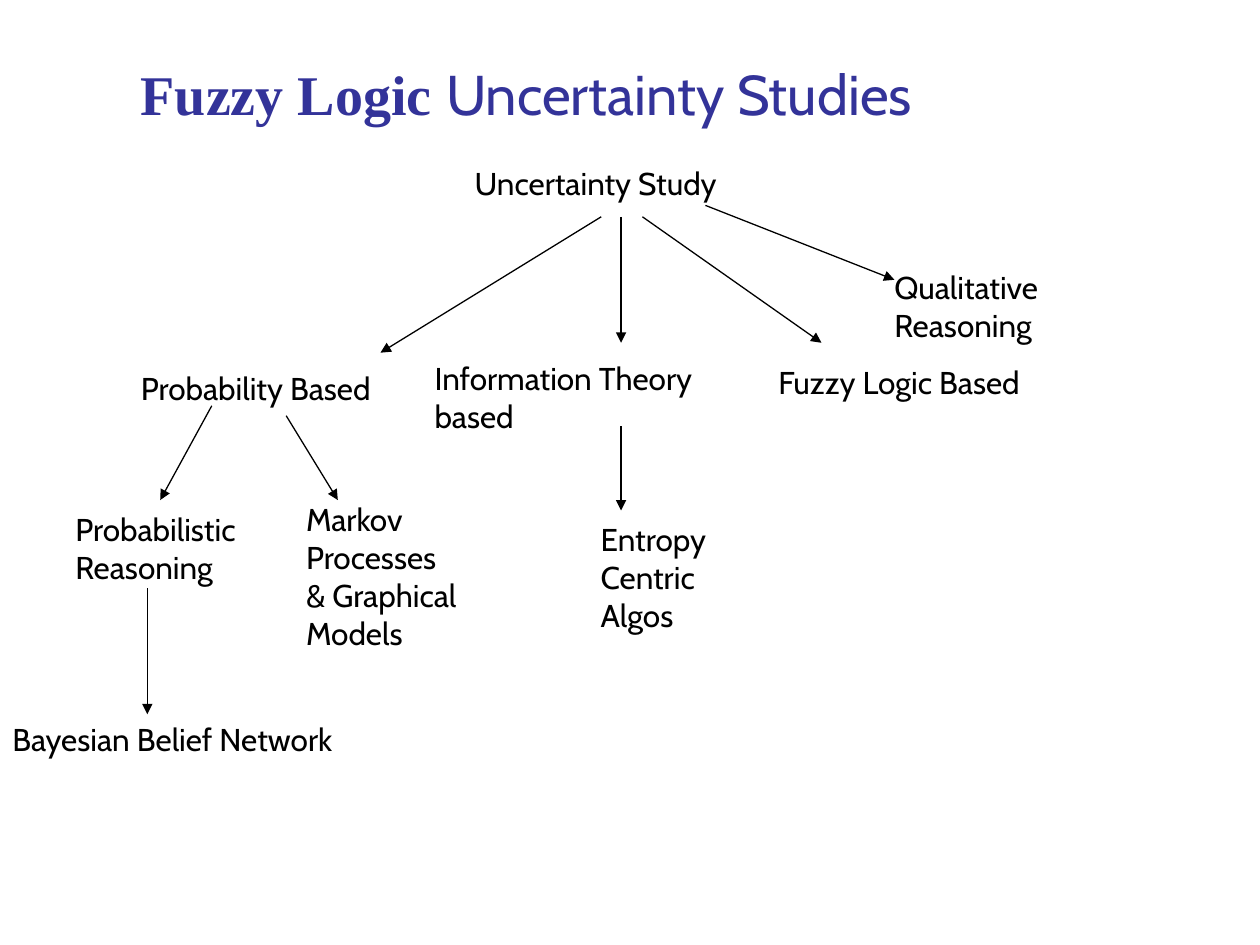
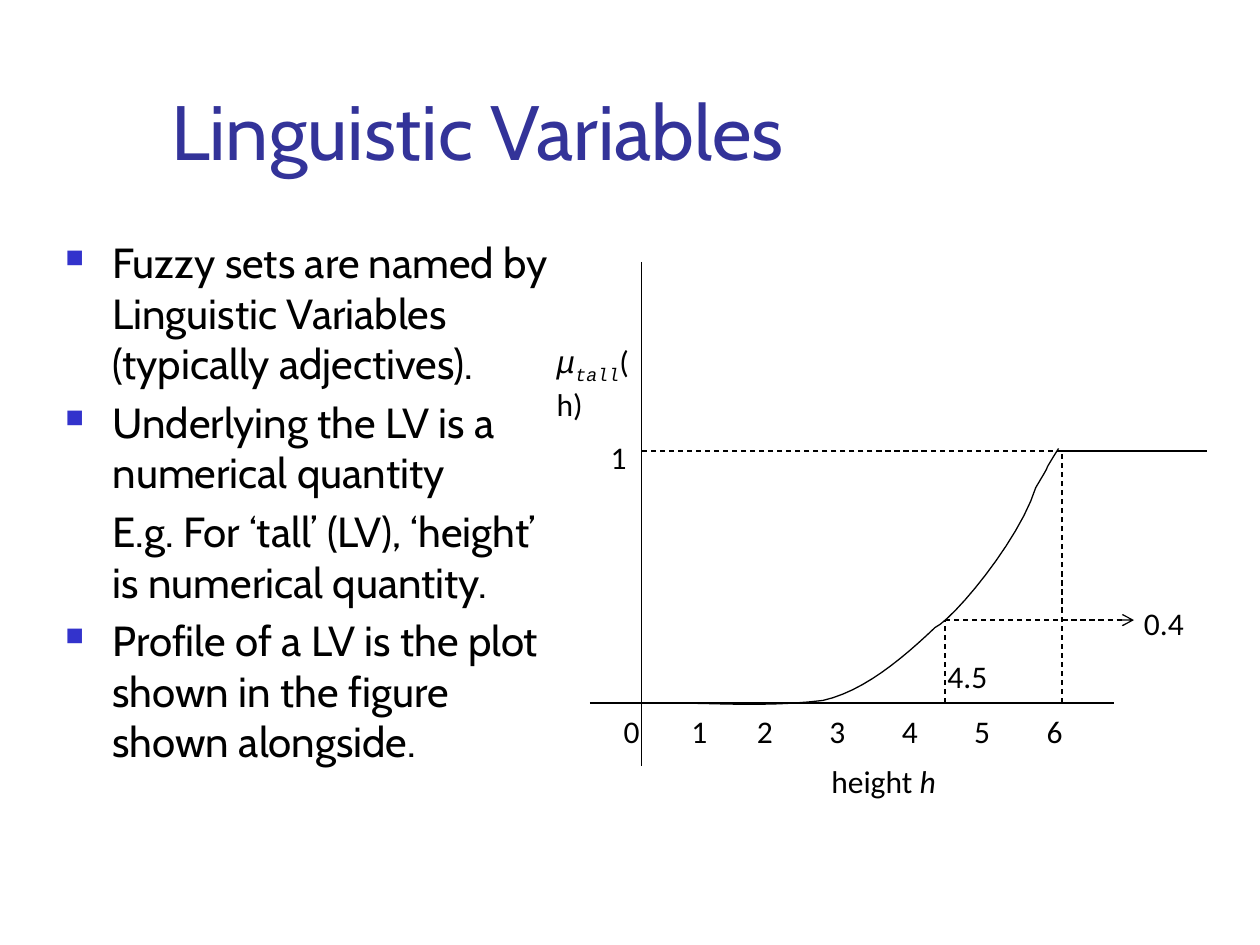
from dataclasses import dataclass

from lxml import etree
from pptx import Presentation
from pptx import util as u
from pptx.dml.color import RGBColor
from pptx.enum import dml, shapes, text
from pptx.oxml import ns


@dataclass(frozen=True)
class Theme:
    title_color: RGBColor = RGBColor(0x33, 0x33, 0x99)
    ink: RGBColor = RGBColor(0, 0, 0)
    bullet_color: str = "3333CC"
    main_font: str = "Cabin"
    serif_font: str = "Times New Roman"
    plot_font: str = "Calibri"
    symbol_font: str = "Courier New"
    tree_title_size: int = 32
    title_size: int = 44
    body_size: int = 24
    label_size: int = 18
    line_width: float = 0.75


THEME = Theme()
LINE_HEIGHT = 0.76
BOX_PADDING = 0.26


def add_element(parent, tag, **attributes):
    return etree.SubElement(parent, ns.qn(tag), attributes)


def add_run(paragraph, words, font, size, color=THEME.ink, bold=False, italic=False):
    run = paragraph.add_run()
    run.text = words
    run.font.name = font
    run.font.size = u.Pt(size)
    run.font.color.rgb = color
    run.font.bold = bold
    run.font.italic = italic
    return run


def add_text_frame(slide, left, top, width, height):
    box = slide.shapes.add_textbox(u.Cm(left), u.Cm(top), u.Cm(width), u.Cm(height))
    box.text_frame.word_wrap = True
    return box.text_frame


def add_label(slide, words, left, top, width, font):
    lines = words.split("\n")
    frame = add_text_frame(slide, left, top, width, LINE_HEIGHT * len(lines) + BOX_PADDING)
    for index, line in enumerate(lines):
        paragraph = frame.add_paragraph() if index else frame.paragraphs[0]
        add_run(paragraph, line, font, THEME.label_size)
    return frame


def add_title(slide, box, parts, size):
    frame = add_text_frame(slide, *box)
    frame.vertical_anchor = text.MSO_ANCHOR.MIDDLE
    for words, font, bold in parts:
        add_run(frame.paragraphs[0], words, font, size, THEME.title_color, bold)


def style_line(line):
    line.color.rgb = THEME.ink
    line.width = u.Pt(THEME.line_width)


def add_line(slide, origin, start, end, dashed=False, head=None):
    left, top = origin
    connector = slide.shapes.add_connector(
        shapes.MSO_CONNECTOR.STRAIGHT,
        u.Cm(left + start[0]), u.Cm(top + start[1]),
        u.Cm(left + end[0]), u.Cm(top + end[1]),
    )
    style_line(connector.line)
    if dashed:
        connector.line.dash_style = dml.MSO_LINE.DASH
    if head:
        add_element(connector.line._get_or_add_ln(), "a:tailEnd", type=head)
    add_element(connector._element.spPr, "a:effectLst")


def add_study_tree(slide, left, top):
    nodes = [
        ("Uncertainty Study", 9.32, 0, 5.49),
        ("Probability Based", 2.59, 4.14, 5.31),
        ("Information Theory\nbased", 8.51, 3.93, 6.15),
        ("Fuzzy Logic Based", 15.44, 4.01, 5.61),
        ("Qualitative\nReasoning", 17.78, 2.1, 3.68),
        ("Probabilistic\nReasoning", 1.27, 6.98, 4.04),
        ("Markov\nProcesses\n& Graphical\nModels", 5.92, 6.78, 3.76),
        ("Entropy\nCentric\nAlgos", 11.86, 7.18, 2.7),
        ("Bayesian Belief Network", 0, 11.22, 7.26),
    ]
    arrows = [
        ((12.12, 1.19), (7.67, 3.93)),
        ((12.52, 1.19), (12.52, 3.73)),
        ((12.95, 1.19), (16.56, 3.73)),
        ((14.22, 0.96), (18.03, 2.46)),
        ((4.27, 5), (3.23, 6.9)),
        ((5.77, 5.2), (6.81, 6.9)),
        ((12.52, 5.41), (12.52, 7.11)),
        ((2.97, 8.68), (2.97, 11.22)),
    ]
    for words, x, y, width in nodes:
        add_label(slide, words, left + x, top + y, width, THEME.main_font)
    for start, end in arrows:
        add_line(slide, (left, top), start, end, head="triangle")


def add_bullets(slide, box):
    items = [
        ("Fuzzy sets are named by Linguistic Variables (typically adjectives).", True),
        ("Underlying the LV is a numerical quantity", True),
        ("E.g. For ‘tall’ (LV), ‘height’ is numerical quantity.", False),
        ("Profile of a LV is the plot shown in the figure shown alongside.", True),
    ]
    indent = u.Cm(0.95)
    frame = add_text_frame(slide, *box)
    for index, (words, bulleted) in enumerate(items):
        paragraph = frame.add_paragraph() if index else frame.paragraphs[0]
        properties = paragraph._p.get_or_add_pPr()
        properties.set("marL", str(indent))
        properties.set("indent", str(-indent if bulleted else 0))
        if bulleted:
            color = add_element(properties, "a:buClr")
            add_element(color, "a:srgbClr", val=THEME.bullet_color)
            add_element(properties, "a:buSzPct", val="60000")
            add_element(properties, "a:buChar", char="■")
        if index:
            paragraph.space_before = u.Pt(THEME.body_size * 0.2)
        add_run(paragraph, words, THEME.main_font, THEME.body_size)


def bezier_points(start, segments, steps=12):
    for first, second, end in segments:
        for step in range(1, steps + 1):
            t = step / steps
            weights = ((1 - t) ** 3, 3 * t * (1 - t) ** 2, 3 * t**2 * (1 - t), t**3)
            corners = (start, first, second, end)
            yield tuple(
                sum(weight * corner[axis] for weight, corner in zip(weights, corners))
                for axis in (0, 1)
            )
        start = end


def add_membership_curve(slide, left, top):
    start = (2.01, 8.89)
    segments = [
        ((3.2, 8.87), (4.42, 8.99), (5.62, 8.84)),
        ((6.43, 8.66), (7.22, 8), (7.88, 7.37)),
        ((8.23, 7.22), (9.58, 5.62), (9.91, 4.55)),
        ((10.34, 3.84), (9.93, 4.47), (10.37, 3.76)),
    ]

    def place(point):
        return u.Cm(left + point[0]), u.Cm(top + point[1])

    builder = slide.shapes.build_freeform(*place(start))
    builder.add_line_segments(
        [place(point) for point in bezier_points(start, segments)], close=False
    )
    curve = builder.convert_to_shape()
    curve.shadow.inherit = False
    curve.fill.background()
    style_line(curve.line)


def add_tick_labels(slide, left, top):
    frame = add_text_frame(slide, left, top, 8.2, LINE_HEIGHT + BOX_PADDING)
    paragraph = frame.paragraphs[0]
    stops = add_element(paragraph._p.get_or_add_pPr(), "a:tabLst")
    for index in range(5):
        add_element(stops, "a:tab", pos=str(u.Cm(1.32 + 1.46 * index)), algn="l")
    add_run(paragraph, "\t".join("123456"), THEME.plot_font, THEME.label_size)


def add_membership_plot(slide, left, top):
    origin = (left, top)
    axis_x, base_y, full_y, partial_y = 1.96, 8.89, 3.81, 7.22
    partial_x, full_x = 8.08, 10.44

    add_line(slide, origin, (axis_x, 0), (axis_x, 10.16))
    add_line(slide, origin, (0.92, base_y), (11.48, base_y))
    add_line(slide, origin, (full_x, full_y), (13.36, full_y))
    add_line(slide, origin, (full_x, base_y), (full_x, full_y), dashed=True)
    add_line(slide, origin, (full_x, full_y), (axis_x, full_y), dashed=True)
    add_line(slide, origin, (partial_x, base_y), (partial_x, partial_y), dashed=True)
    add_line(slide, origin, (partial_x, partial_y), (11.89, partial_y),
             dashed=True, head="arrow")
    add_membership_curve(slide, left, top)

    labels = [
        ("0", 1.35, 8.94, 0.86),
        ("1", 1.09, 3.43, 0.86),
        ("0.4", 11.84, 6.78, 1.4),
        ("4.5", 7.88, 7.85, 1.4),
    ]
    for words, x, y, width in labels:
        add_label(slide, words, left + x, top + y, width, THEME.plot_font)
    add_tick_labels(slide, left + 2.72, top + 8.94)

    caption = add_label(slide, "height ", left + 5.54, top + 9.96, 2.8, THEME.plot_font)
    add_run(caption.paragraphs[0], "h", THEME.plot_font, THEME.label_size, italic=True)

    function_name = add_text_frame(slide, left, top + 1.5, 2.13, 1.78).paragraphs[0]
    add_run(function_name, "μ", THEME.symbol_font, THEME.label_size, italic=True)
    subscript = add_run(function_name, "tall", THEME.symbol_font, THEME.label_size, italic=True)
    subscript._r.get_or_add_rPr().set("baseline", "-25000")
    add_run(function_name, "(h)", THEME.plot_font, THEME.label_size)


def build_tree_slide(slide):
    add_title(
        slide, (2.59, 0.58, 22.25, 2.59),
        [("Fuzzy Logic ", THEME.serif_font, True),
         ("Uncertainty Studies", THEME.main_font, False)],
        THEME.tree_title_size,
    )
    add_study_tree(slide, 0, 3.18)


def build_variables_slide(slide):
    add_title(
        slide, (3.2, 0.58, 21.64, 4.06),
        [("Linguistic Variables", THEME.main_font, False)],
        THEME.title_size,
    )
    add_bullets(slide, (1.07, 4.65, 10.59, 11.43))
    add_membership_plot(slide, 10.97, 5.28)


def main():
    presentation = Presentation()
    presentation.slide_width = u.Cm(25.4)
    presentation.slide_height = u.Cm(19.05)
    for build in (build_tree_slide, build_variables_slide):
        build(presentation.slides.add_slide(presentation.slide_layouts[6]))
    presentation.save("out.pptx")


if __name__ == "__main__":
    main()
